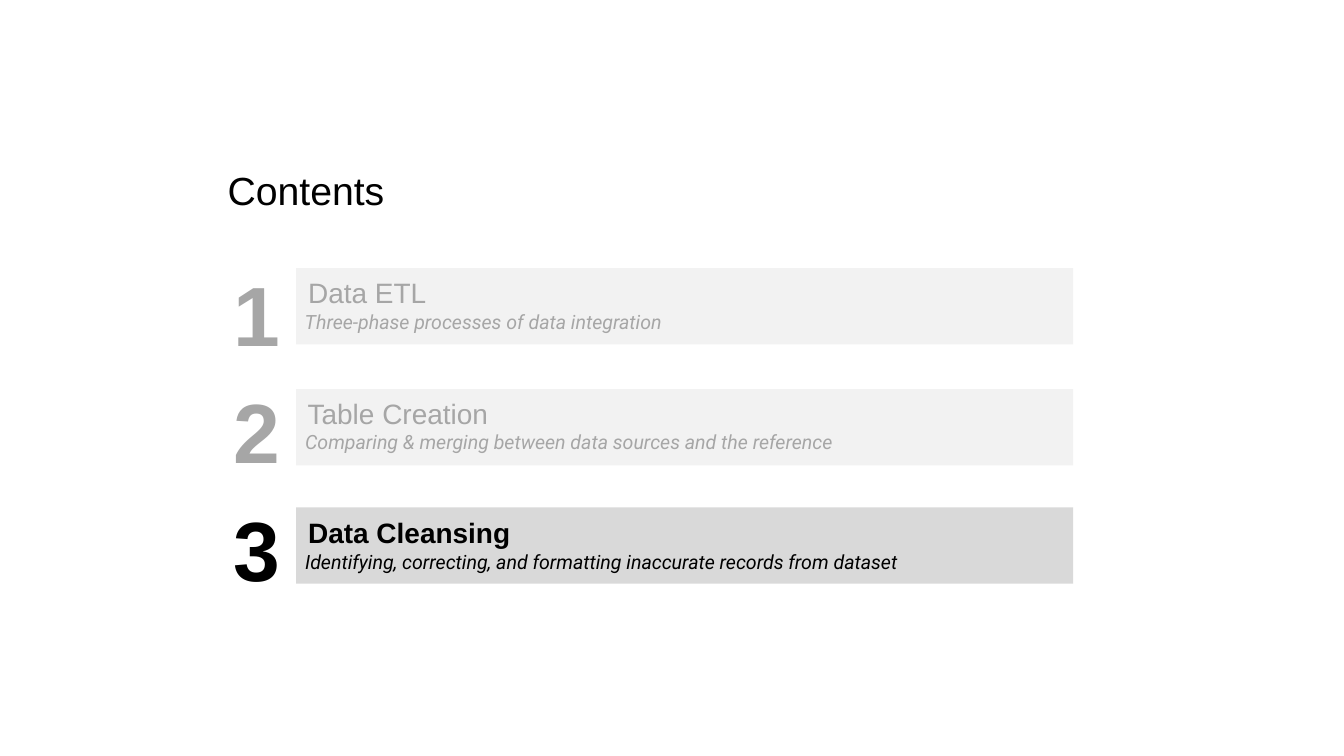
from pptx import Presentation
from pptx.dml.color import RGBColor
from pptx.enum.shapes import MSO_SHAPE
from pptx.enum.text import MSO_ANCHOR, PP_ALIGN
from pptx.util import Pt

PX = 9525  # EMU per px; the slide is 1920 x 1080 px
LEFT, BAR_LEFT, BAR_W, BAR_H = 325, 423, 1110, 109
NUMBER_TOP, NUMBER_PITCH = 352, 168
TEXT_RISE = 6  # the text box starts this far above its bar

# title, subtitle, bar top, bar colour, text colour, bold title, line spacing factor
SECTIONS = [
    ("Data ETL", "Three-phase processes of data integration",
     383, "F2F2F2", "A6A6A6", False, 1.25),
    ("Table Creation", "Comparing & merging between data sources and the reference",
     556, "F2F2F2", "A6A6A6", False, 1.2),
    ("Data Cleansing", "Identifying, correcting, and formatting inaccurate records from dataset",
     725, "D9D9D9", "000000", True, 1.25),
]


def px(n):
    return int(n * PX)


def rgb(hex_color):
    return RGBColor.from_string(hex_color)


def add_bar(slide, top, color):
    sp = slide.shapes.add_shape(MSO_SHAPE.RECTANGLE, px(BAR_LEFT), px(top), px(BAR_W), px(BAR_H))
    sp.shadow.inherit = False
    sp.fill.solid()
    sp.fill.fore_color.rgb = rgb(color)
    sp.line.fill.background()


def add_text_frame(slide, left, top, width, height, inset=0):
    tf = slide.shapes.add_textbox(px(left), px(top), px(width), px(height)).text_frame
    tf.word_wrap = True
    tf.vertical_anchor = MSO_ANCHOR.MIDDLE
    tf.margin_left = tf.margin_right = tf.margin_top = tf.margin_bottom = px(inset)
    return tf


def write(p, text, size, color, spacing, font="Arial", bold=False, italic=False):
    p.line_spacing = Pt(spacing)
    r = p.add_run()
    r.text = text
    r.font.name = font
    r.font.size = Pt(size)
    r.font.bold = bold
    r.font.italic = italic
    r.font.color.rgb = rgb(color)


def add_number(slide, number, color):
    top = NUMBER_TOP + (number - 1) * NUMBER_PITCH
    p = add_text_frame(slide, LEFT, top, 83, 189).paragraphs[0]
    p.alignment = PP_ALIGN.CENTER
    write(p, str(number), 90, color, 108, bold=True)


def add_section(slide, number, title, subtitle, top, fill, color, bold, factor):
    add_number(slide, number, color)
    add_bar(slide, top, fill)
    tf = add_text_frame(slide, BAR_LEFT, top - TEXT_RISE, BAR_W, BAR_H + TEXT_RISE, inset=6)
    write(tf.paragraphs[0], " " + title, 30, color, 30 * factor, bold=bold)
    write(tf.add_paragraph(), " " + subtitle, 21, color, 21 * factor, font="Roboto", italic=True)


def main():
    prs = Presentation()
    prs.slide_width, prs.slide_height = px(1920), px(1080)
    slide = prs.slides.add_slide(prs.slide_layouts[6])
    heading = add_text_frame(slide, LEFT, 199, 1268, 151)
    write(heading.paragraphs[0], "Contents", 42, "000000", 45.4)
    for number, section in enumerate(SECTIONS, 1):
        add_section(slide, number, *section)
    prs.save("out.pptx")


if __name__ == "__main__":
    main()
